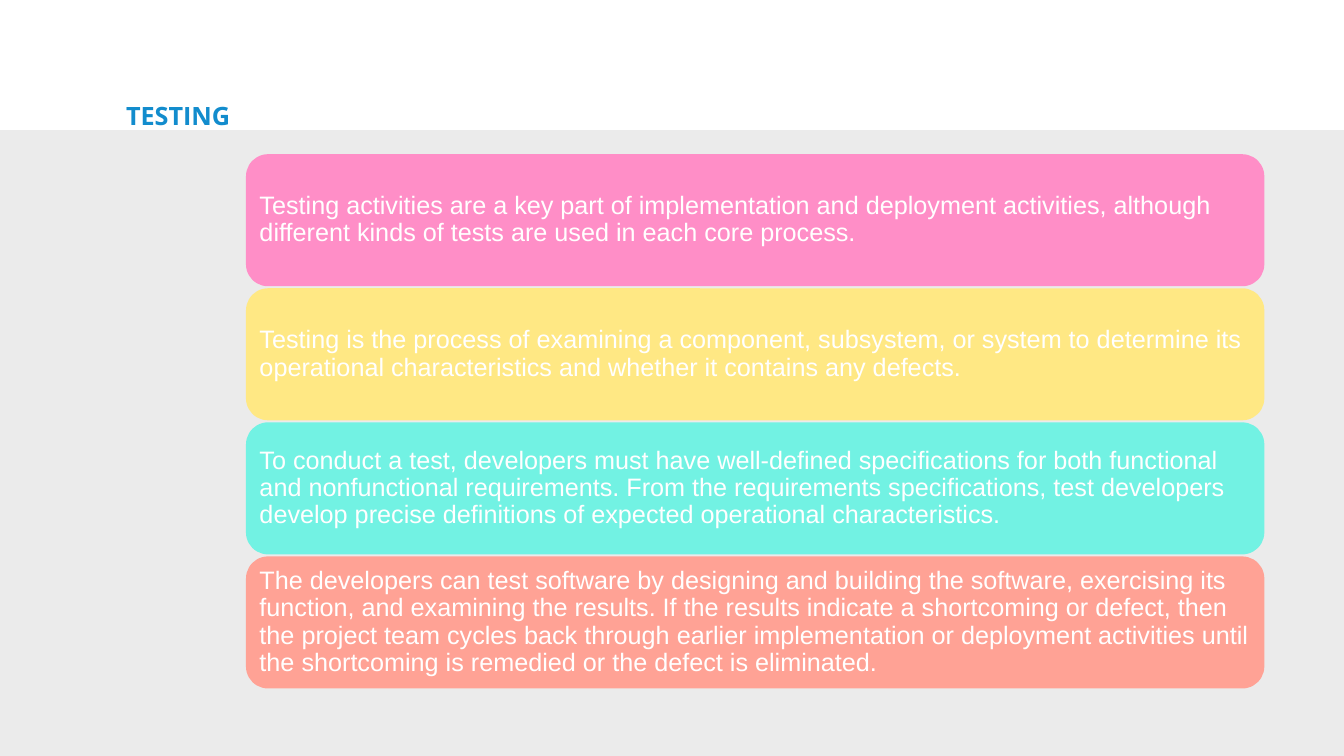
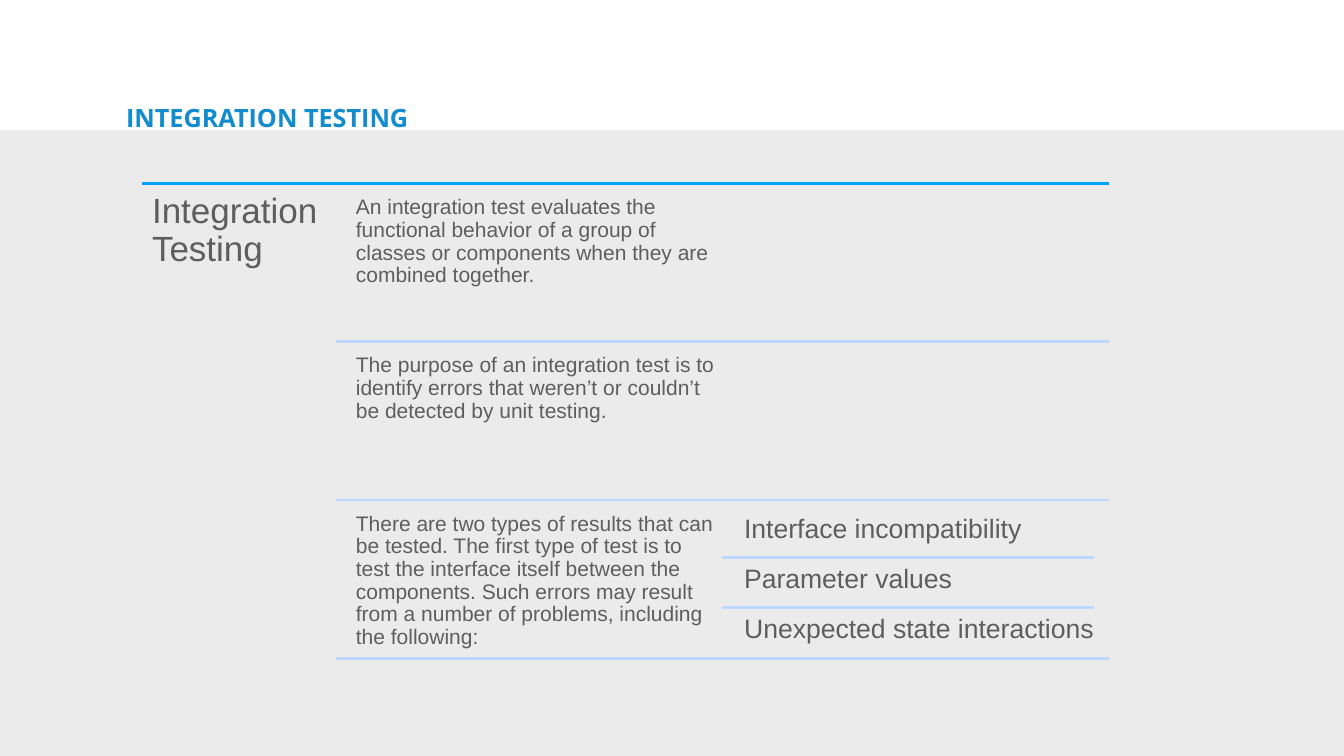
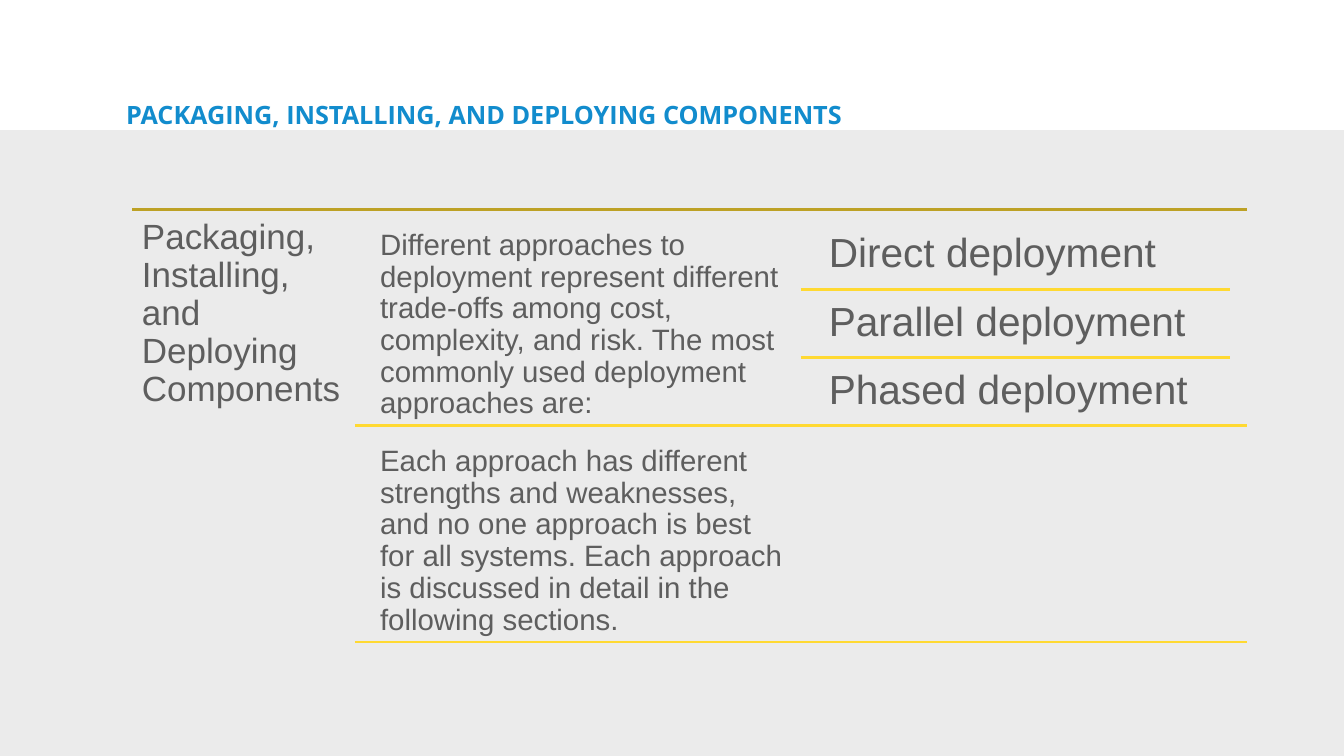
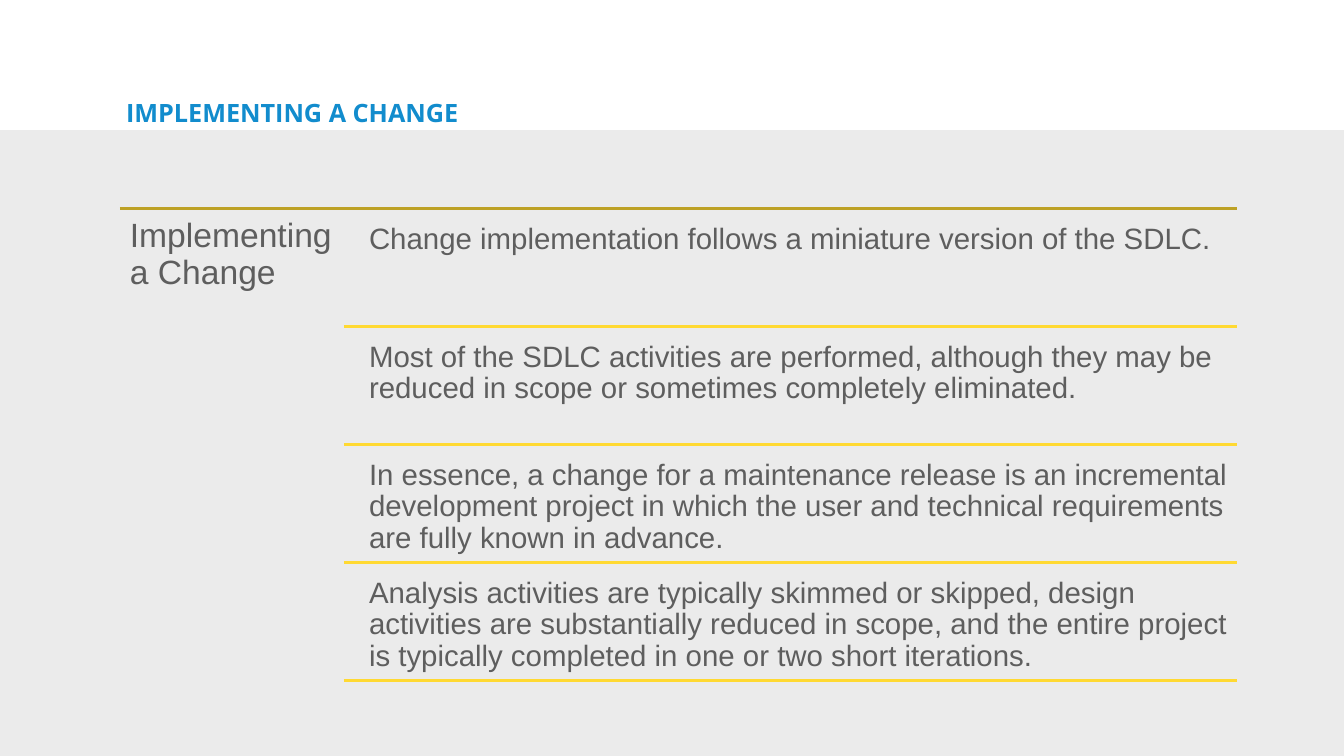
from lxml import etree
from pptx import Presentation
from pptx.dml.color import RGBColor
from pptx.enum.shapes import MSO_CONNECTOR, MSO_SHAPE
from pptx.enum.text import MSO_ANCHOR, PP_ALIGN
from pptx.oxml.ns import qn
from pptx.util import Inches, Pt

RECT = MSO_SHAPE.RECTANGLE
ROUNDED = MSO_SHAPE.ROUNDED_RECTANGLE
STRAIGHT = MSO_CONNECTOR.STRAIGHT
TOP, MIDDLE = MSO_ANCHOR.TOP, MSO_ANCHOR.MIDDLE
LEFT = PP_ALIGN.LEFT

COLORS = {
    "title": "128CCD", "band": "EBEBEB", "text": "5E5E5E", "white": "FFFFFF",
    "pink": "FF8EC7", "cream": "FFE884", "aqua": "72F2E3", "coral": "FFA295",
    "blue": "00A2FF", "pale blue": "BDD7FF", "ochre": "BDA125", "yellow": "FFD932",
}
SLIDE_W, SLIDE_H, BAND_TOP = 13.33, 7.5, 1.29


def set_text(sp, text, size, color="text", font="Arial", bold=False,
             inset=0.1, spacing=0.9, anchor=TOP):
    """Write one formatted paragraph into a shape or text box."""
    tf = sp.text_frame
    tf.word_wrap = True
    tf.vertical_anchor = anchor
    tf.margin_left = tf.margin_right = tf.margin_top = tf.margin_bottom = Inches(inset)
    p = tf.paragraphs[0]
    p.alignment = LEFT
    p.line_spacing = spacing
    r = p.add_run()
    r.text = text
    r.font.name, r.font.size, r.font.bold = font, Pt(size), bold
    r.font.color.rgb = RGBColor.from_string(COLORS[color])


def add_rule(s, left, right, y, color):
    """Draw a horizontal rule without a shadow."""
    line = s.shapes.add_connector(STRAIGHT, Inches(left), Inches(y), Inches(right), Inches(y))
    line.line.width = Pt(2)
    line.line.color.rgb = RGBColor.from_string(COLORS[color])
    etree.SubElement(line._element.spPr, qn("a:effectLst"))


prs = Presentation()
prs.slide_width, prs.slide_height = Inches(SLIDE_W), Inches(SLIDE_H)

# Shared band and title on every slide
titles = [
    ("TESTING", 0.89),
    ("INTEGRATION TESTING", 0.91),
    ("PACKAGING, INSTALLING, AND DEPLOYING COMPONENTS", 0.88),
    ("IMPLEMENTING A CHANGE", 0.86),
]
slides = []
for title, top in titles:
    s = prs.slides.add_slide(prs.slide_layouts[6])
    band = s.shapes.add_shape(RECT, 0, Inches(BAND_TOP), Inches(SLIDE_W),
                              Inches(SLIDE_H - BAND_TOP))
    band.shadow.inherit = False
    band.fill.solid()
    band.fill.fore_color.rgb = RGBColor.from_string(COLORS["band"])
    band.line.fill.background()
    box = s.shapes.add_textbox(Inches(1.19), Inches(top), Inches(8.05), Inches(0.43))
    set_text(box, title, 18, color="title", font="Open Sans", bold=True,
             inset=0.06, spacing=1.15)
    slides.append(s)

# Slide 1: stacked cards
cards = [
    ("pink", "Testing activities are a key part of implementation and deployment activities, "
             "although different kinds of tests are used in each core process."),
    ("cream", "Testing is the process of examining a component, subsystem, or system to "
              "determine its operational characteristics and whether it contains any defects."),
    ("aqua", "To conduct a test, developers must have well-defined specifications for both "
             "functional and nonfunctional requirements. From the requirements specifications, "
             "test developers develop precise definitions of expected operational "
             "characteristics."),
    ("coral", "The developers can test software by designing and building the software, "
              "exercising its function, and examining the results. If the results indicate a "
              "shortcoming or defect, then the project team cycles back through earlier "
              "implementation or deployment activities until the shortcoming is remedied or "
              "the defect is eliminated."),
]
for i, (color, text) in enumerate(cards):
    card = slides[0].shapes.add_shape(ROUNDED, Inches(2.44), Inches(1.53 + i * 1.33),
                                      Inches(10.1), Inches(1.31))
    card.shadow.inherit = False
    card.fill.solid()
    card.fill.fore_color.rgb = RGBColor.from_string(COLORS[color])
    card.line.fill.background()
    set_text(card, text, 18, color="white", inset=0.07, anchor=MIDDLE)

# Slides 2 to 4: a topic on the left, ruled rows beside it, some with sub-items
outlines = [
    dict(topic="Integration Testing", topic_size=25, topic_w=1.92,
         left=1.41, right=11, top=1.82, pitch=1.57, pad=0.07, indent=0.14,
         row_w=3.69, row_size=15, row_inset=0.06, sub_size=19, sub_inset=0.08,
         main="blue", minor="pale blue",
         rows=[
             ("An integration test evaluates the functional behavior of a group of classes "
              "or components when they are combined together.", []),
             ("The purpose of an integration test is to identify errors that weren’t or "
              "couldn’t be detected by unit testing.", []),
             ("There are two types of results that can be tested. The first type of test is "
              "to test the interface itself between the components. Such errors may result "
              "from a number of problems, including the following:",
              ["Interface incompatibility", "Parameter values",
               "Unexpected state interactions"]),
         ]),
    dict(topic="Packaging, Installing, and Deploying Components", topic_size=25, topic_w=2.21,
         left=1.31, right=12.37, top=2.08, pitch=2.145, pad=0.11, indent=0.16,
         row_w=4.26, row_size=21, row_inset=0.09, sub_size=29, sub_inset=0.12,
         main="ochre", minor="yellow",
         rows=[
             ("Different approaches to deployment represent different trade-offs among cost, "
              "complexity, and risk. The most commonly used deployment approaches are:",
              ["Direct deployment", "Parallel deployment", "Phased deployment"]),
             ("Each approach has different strengths and weaknesses, and no one approach is "
              "best for all systems. Each approach is discussed in detail in the following "
              "sections.", []),
         ]),
    dict(topic="Implementing a Change", topic_size=24, topic_w=2.22,
         left=1.19, right=12.27, top=2.07, pitch=1.17, pad=0.06, indent=0.16,
         row_w=8.7, row_size=21, row_inset=0.09, main="ochre", minor="yellow",
         rows=[
             ("Change implementation follows a miniature version of the SDLC.", []),
             ("Most of the SDLC activities are performed, although they may be reduced in "
              "scope or sometimes completely eliminated.", []),
             ("In essence, a change for a maintenance release is an incremental development "
              "project in which the user and technical requirements are fully known in "
              "advance.", []),
             ("Analysis activities are typically skimmed or skipped, design activities are "
              "substantially reduced in scope, and the entire project is typically completed "
              "in one or two short iterations.", []),
         ]),
]
for s, o in zip(slides[1:], outlines):
    left, right, top, pitch = o["left"], o["right"], o["top"], o["pitch"]
    row_w, row_h = o["row_w"], pitch - o["pad"]
    row_left = left + o["topic_w"]
    text_left = row_left + o["indent"]
    sub_left = text_left + row_w

    # Topic
    add_rule(s, left, right, top, o["main"])
    box = s.shapes.add_textbox(Inches(left), Inches(top), Inches(o["topic_w"]),
                               Inches(pitch * len(o["rows"])))
    set_text(box, o["topic"], o["topic_size"])

    # Rows and their sub-items
    for i, (text, subs) in enumerate(o["rows"]):
        y = top + i * pitch + o["pad"]
        box = s.shapes.add_textbox(Inches(text_left), Inches(y), Inches(row_w), Inches(row_h))
        set_text(box, text, o["row_size"], inset=o["row_inset"])
        for j, sub in enumerate(subs):
            sub_h = row_h / len(subs)
            sub_y = y + j * sub_h
            if j:
                add_rule(s, sub_left, sub_left + row_w, sub_y, o["minor"])
            box = s.shapes.add_textbox(Inches(sub_left + o["indent"]), Inches(sub_y),
                                       Inches(row_w), Inches(sub_h))
            set_text(box, sub, o["sub_size"], inset=o["sub_inset"])
        add_rule(s, row_left, right, top + (i + 1) * pitch, o["minor"])

prs.save("out.pptx")
